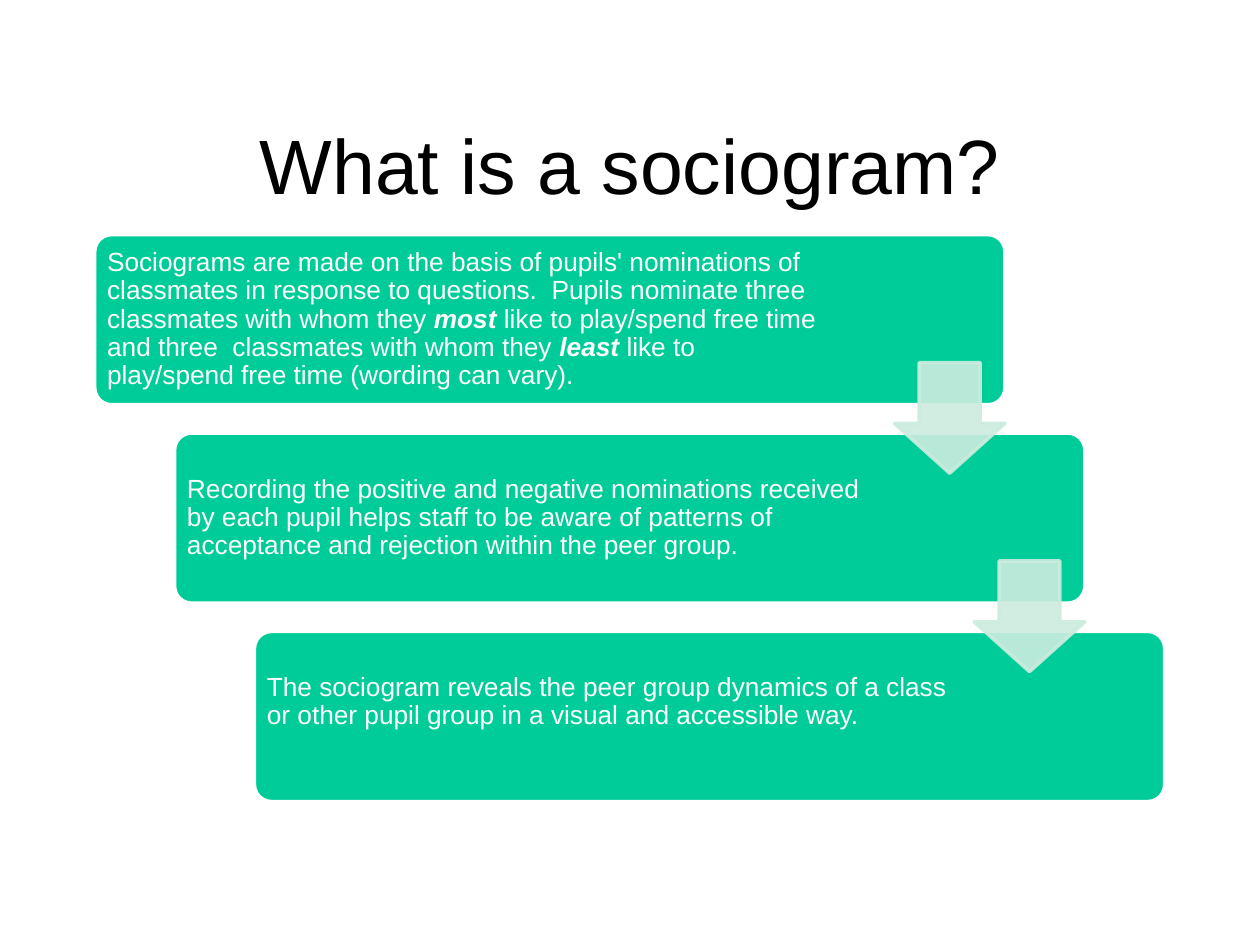
from dataclasses import dataclass

from lxml import etree
from pptx import Presentation
from pptx.dml.color import RGBColor
from pptx.enum.shapes import MSO_SHAPE
from pptx.enum.text import MSO_ANCHOR, PP_ALIGN
from pptx.oxml.ns import qn
from pptx.util import Cm, Pt

ROUNDED = MSO_SHAPE.ROUNDED_RECTANGLE
DOWN_ARROW = MSO_SHAPE.DOWN_ARROW
MIDDLE = MSO_ANCHOR.MIDDLE
CENTER = PP_ALIGN.CENTER
LEFT = PP_ALIGN.LEFT
TITLE_ONLY = 5


@dataclass(frozen=True)
class Theme:
    font: str = "Arial"
    title_size: int = 44
    body_size: int = 15
    black: RGBColor = RGBColor(0x00, 0x00, 0x00)
    white: RGBColor = RGBColor(0xFF, 0xFF, 0xFF)
    green: RGBColor = RGBColor(0x00, 0xCC, 0x99)
    mint: RGBColor = RGBColor(0xCC, 0xEC, 0xDE)


@dataclass(frozen=True)
class Step:
    """One stage; every second span is emphasised."""
    spans: tuple[str, ...]
    text_width: float = 14.3
    bottom_inset: float = 0.15


THEME = Theme()
STEPS = (
    Step((
        "Sociograms are made on the basis of pupils' nominations of classmates "
        "in response to questions.  Pupils nominate three classmates with whom they ",
        "most",
        " like to play/spend free time and three  classmates with whom they ",
        "least",
        " like to play/spend free time (wording can vary).",
    ), text_width=14.66),
    Step((
        "Recording the positive and negative nominations received by each pupil "
        "helps staff to be aware of patterns of acceptance and rejection within "
        "the peer group.",
    )),
    Step((
        "The sociogram reveals the peer group dynamics of a class or other pupil "
        "group in a visual and accessible way.",
    ), bottom_inset=0.73),
)

# Staircase geometry, in centimetres
FIRST_LEFT, FIRST_TOP = 1.91, 4.73
STEP_RIGHT, STEP_DOWN = 1.61, 4.0
PANEL_WIDTH, PANEL_HEIGHT = 18.35, 3.43
ARROW_LEFT, ARROW_TOP, ARROW_SIZE = 18.03, 7.31, 2.23
TEXT_OFFSET, TEXT_INSET = 0.1, 0.15


def style_shape(shape, fill: RGBColor, line: RGBColor) -> None:
    shape.shadow.inherit = False
    shape.fill.solid()
    shape.fill.fore_color.rgb = fill
    shape.line.color.rgb = line
    shape.line.width = Pt(2)


def set_opacity(shape, percent: int) -> None:
    """Apply one opacity to both the fill and the line."""
    for color in shape._element.spPr.iter(qn("a:srgbClr")):
        etree.SubElement(color, qn("a:alpha"), val=str(percent * 1000))


def add_title(page, text: str) -> None:
    title = page.shapes.title
    title.left, title.top, title.width, title.height = Cm(1.91), Cm(1.7), Cm(21.59), Cm(3.18)
    frame = title.text_frame
    frame.vertical_anchor = MIDDLE
    para = frame.paragraphs[0]
    para.text = text
    para.alignment = CENTER
    para.font.name = THEME.font
    para.font.size = Pt(THEME.title_size)
    para.font.color.rgb = THEME.black


def add_step(page, step: Step, index: int) -> None:
    left = FIRST_LEFT + index * STEP_RIGHT
    top = FIRST_TOP + index * STEP_DOWN
    panel = page.shapes.add_shape(
        ROUNDED, Cm(left), Cm(top), Cm(PANEL_WIDTH), Cm(PANEL_HEIGHT))
    panel.adjustments[0] = 0.1
    style_shape(panel, THEME.green, THEME.white)

    box = page.shapes.add_textbox(
        Cm(left + TEXT_OFFSET), Cm(top + TEXT_OFFSET),
        Cm(step.text_width), Cm(PANEL_HEIGHT - 2 * TEXT_OFFSET))
    frame = box.text_frame
    frame.word_wrap = True
    frame.vertical_anchor = MIDDLE
    frame.margin_left = frame.margin_right = frame.margin_top = Cm(TEXT_INSET)
    frame.margin_bottom = Cm(step.bottom_inset)
    para = frame.paragraphs[0]
    para.alignment = LEFT
    para.line_spacing = 0.9
    para.font.name = THEME.font
    para.font.size = Pt(THEME.body_size)
    para.font.color.rgb = THEME.white
    for position, text in enumerate(step.spans):
        span = para.add_run()
        span.text = text
        if position % 2:
            span.font.bold = span.font.italic = True


def add_arrow(page, index: int) -> None:
    arrow = page.shapes.add_shape(
        DOWN_ARROW, Cm(ARROW_LEFT + index * STEP_RIGHT),
        Cm(ARROW_TOP + index * STEP_DOWN), Cm(ARROW_SIZE), Cm(ARROW_SIZE))
    arrow.adjustments[0] = 0.55
    arrow.adjustments[1] = 0.45
    style_shape(arrow, THEME.mint, THEME.mint)
    set_opacity(arrow, 90)


def main() -> None:
    deck = Presentation()
    deck.slide_width, deck.slide_height = Cm(25.4), Cm(19.05)
    page = deck.slides.add_slide(deck.slide_layouts[TITLE_ONLY])
    add_title(page, "What is a sociogram?")
    for index, step in enumerate(STEPS):
        add_step(page, step, index)
    for index in range(len(STEPS) - 1):
        add_arrow(page, index)
    deck.save("out.pptx")


if __name__ == "__main__":
    main()
